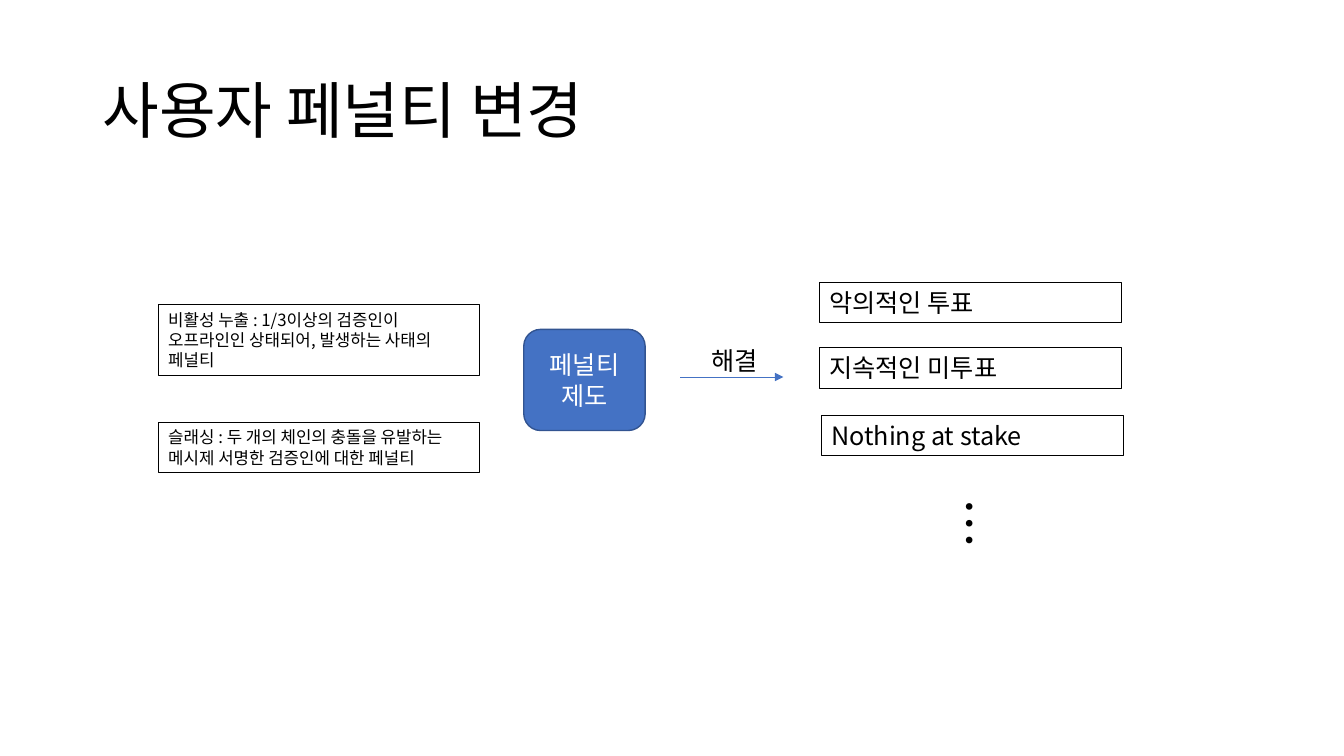
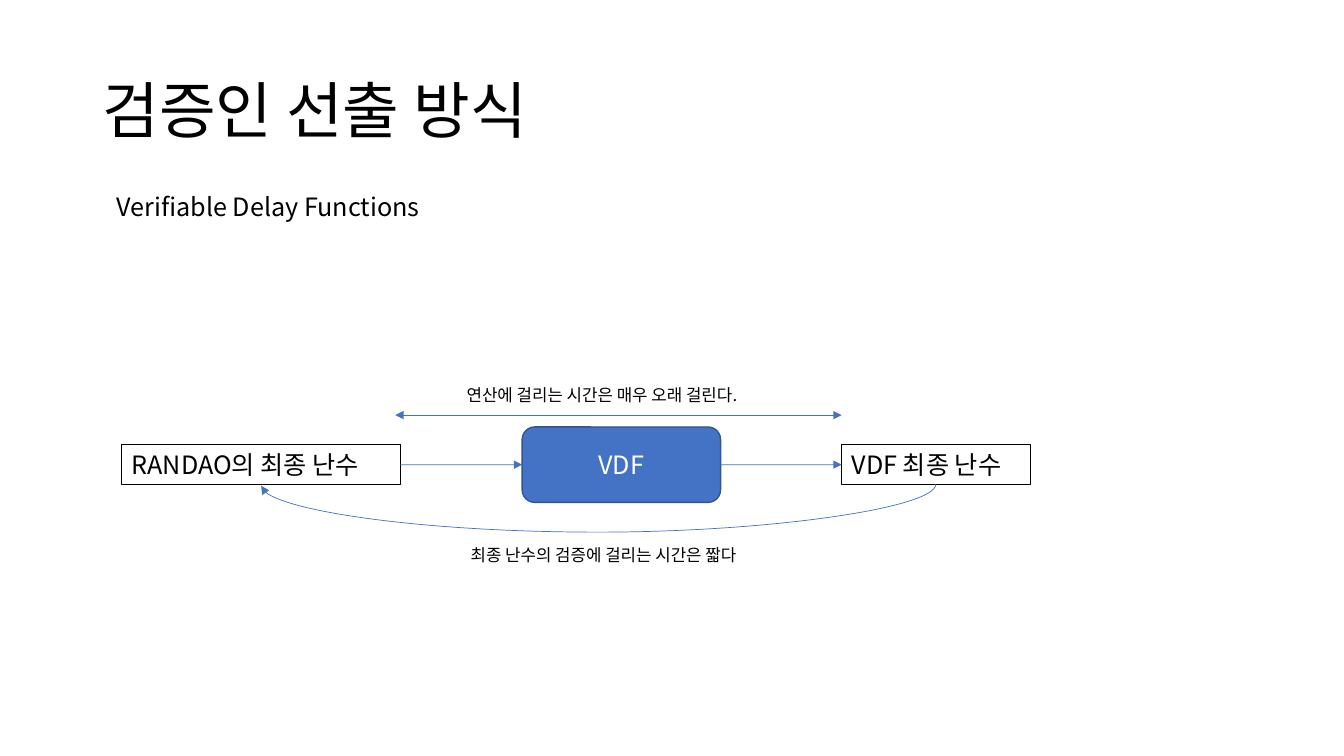
from dataclasses import dataclass

from lxml.etree import SubElement
from pptx import Presentation
from pptx.dml.color import RGBColor
from pptx.enum.shapes import MSO_CONNECTOR, MSO_SHAPE
from pptx.enum.text import MSO_ANCHOR, PP_ALIGN
from pptx.oxml.ns import qn
from pptx.util import Cm, Pt


@dataclass(frozen=True)
class Theme:
    font: str = "Noto Sans CJK KR"
    black: RGBColor = RGBColor(0x00, 0x00, 0x00)
    white: RGBColor = RGBColor(0xFF, 0xFF, 0xFF)
    accent: RGBColor = RGBColor(0x44, 0x72, 0xC4)
    accent_dark: RGBColor = RGBColor(0x32, 0x54, 0x91)
    title: int = 44
    body: int = 18
    small: int = 12
    symbol: int = 36


THEME = Theme()


class Deck:
    """Holds the theme, the presentation and the current slide."""

    def __init__(self, theme):
        self.theme = theme
        self.prs = Presentation()
        self.prs.slide_width, self.prs.slide_height = Cm(33.87), Cm(19.05)
        self.s = None

    def new_slide(self, title):
        self.s = self.prs.slides.add_slide(self.prs.slide_layouts[5])
        sp = self.s.shapes.title
        place = {"left": 2.33, "top": 1.01, "width": 29.21, "height": 3.68}
        for name, value in place.items():
            setattr(sp, name, Cm(value))
        self.fill_text(sp, title, self.theme.title, anchor=MSO_ANCHOR.MIDDLE, spacing=0.9)

    def fill_text(self, sp, text, size, color=None, align=PP_ALIGN.LEFT,
                  anchor=MSO_ANCHOR.TOP, spacing=1.0):
        tf = sp.text_frame
        tf.word_wrap, tf.vertical_anchor = True, anchor
        style = {"size": Pt(size), "bold": False, "name": self.theme.font}
        for i, line in enumerate(text.split("\n")):
            p = tf.add_paragraph() if i else tf.paragraphs[0]
            p.alignment, p.line_spacing = align, spacing
            r = p.add_run()
            r.text = line
            r.font.color.rgb = color or self.theme.black
            for name, value in style.items():
                setattr(r.font, name, value)
            # Korean glyphs use the East Asian typeface
            SubElement(r._r.get_or_add_rPr(), qn("a:ea"), typeface=self.theme.font)

    def label(self, text, x, y, w, h, size=THEME.body, rotation=0):
        sp = self.s.shapes.add_textbox(Cm(x), Cm(y), Cm(w), Cm(h))
        sp.rotation = rotation
        self.fill_text(sp, text, size)

    def shape(self, kind, x, y, w, h, line, weight):
        sp = self.s.shapes.add_shape(kind, Cm(x), Cm(y), Cm(w), Cm(h))
        sp.shadow.inherit = False
        sp.line.color.rgb, sp.line.width = line, Pt(weight)
        return sp

    def box(self, text, x, y, w, h, size=THEME.body):
        sp = self.shape(MSO_SHAPE.RECTANGLE, x, y, w, h, self.theme.black, 0.75)
        sp.fill.background()
        self.fill_text(sp, text, size)
        return sp

    def process(self, text, x, y, w, h):
        sp = self.shape(MSO_SHAPE.ROUNDED_RECTANGLE, x, y, w, h,
                        self.theme.accent_dark, 1)
        sp.fill.solid()
        sp.fill.fore_color.rgb = self.theme.accent
        self.fill_text(sp, text, self.theme.body, self.theme.white,
                       PP_ALIGN.CENTER, MSO_ANCHOR.MIDDLE)
        return sp

    def arrow(self, x1, y1, x2, y2, kind=MSO_CONNECTOR.STRAIGHT, both=False):
        c = self.s.shapes.add_connector(kind, Cm(x1), Cm(y1), Cm(x2), Cm(y2))
        c.line.color.rgb, c.line.width = self.theme.accent, Pt(0.5)
        spPr = c._element.spPr
        for end in ("headEnd", "tailEnd") if both else ("tailEnd",):
            SubElement(spPr.find(qn("a:ln")), qn(f"a:{end}"), type="triangle")
        SubElement(spPr, qn("a:effectLst"))
        return c

    def link(self, start, end):
        """Straight arrow from the right side of start to the left side of end."""
        c = self.arrow(0, 0, 1, 1)
        c.begin_connect(start, 3)
        c.end_connect(end, 1)

    def return_curve(self, start, end, depth):
        """Curve below two shapes, joining their bottom middles."""
        c = self.arrow(0, 0, 1, 1, MSO_CONNECTOR.CURVE)
        c.begin_connect(start, 2)
        c.end_connect(end, 2)
        right, left = (sp.left + sp.width // 2 for sp in (start, end))
        thin, span = Cm(0.04), right - left
        middle, bottom = (left + right) // 2, start.top + start.height
        # A quarter turn makes the thin connector lie under both shapes
        place = {"left": middle - thin // 2, "top": bottom - span // 2,
                 "width": thin, "height": span}
        for name, value in place.items():
            setattr(c, name, value)
        spPr = c._element.spPr
        for flip in ("flipH", "flipV"):
            spPr.xfrm.attrib.pop(flip, None)
        spPr.xfrm.set("rot", str(90 * 60000))
        av = spPr.find(qn("a:prstGeom")).get_or_add_avLst()
        bend = round(Cm(depth) / thin * 100000)
        SubElement(av, qn("a:gd"), name="adj1", fmla=f"val {bend}")


def penalty_slide(deck):
    deck.new_slide("사용자 페널티 변경")

    # Kinds of penalty
    deck.box("비활성 누출 : 1/3이상의 검증인이 오프라인인 상태되어, 발생하는 사태의 페널티",
             3.99, 7.67, 8.1, 1.8, THEME.small)
    deck.box("슬래싱 : 두 개의 체인의 충돌을 유발하는 메시제 서명한 검증인에 대한 페널티",
             3.99, 10.64, 8.1, 1.28, THEME.small)

    # Penalty system and its effect
    deck.process("페널티\n제도", 13.2, 8.3, 3.06, 2.55)
    deck.arrow(17.15, 9.5, 19.74, 9.5)
    deck.label("해결", 17.68, 8.58, 1.85, 1.02)

    # Problems solved
    problems = (("악의적인 투표", 20.65, 7.11),
                ("지속적인 미투표", 20.65, 8.76),
                ("Nothing at stake", 20.7, 10.46))
    for text, x, y in problems:
        deck.box(text, x, y, 7.62, 1.02)
    deck.label("…", 23.7, 12.17, 1.5, 1.8, THEME.symbol, rotation=90)


def selection_slide(deck):
    deck.new_slide("검증인 선출 방식")
    deck.label("Verifiable Delay Functions", 2.69, 4.7, 9.8, 1.8)

    # Flow from input to output
    source = deck.box("RANDAO의 최종 난수", 3.07, 11.2, 7.02, 1.02)
    vdf = deck.process("VDF", 13.16, 10.76, 5, 1.9)
    result = deck.box("VDF 최종 난수", 21.21, 11.2, 4.75, 1.02)
    deck.link(source, vdf)
    deck.link(vdf, result)

    # Slow computation above, quick check below
    deck.arrow(9.96, 10.46, 21.21, 10.46, both=True)
    deck.label("연산에 걸리는 시간은 매우 오래 걸린다.", 11.51, 9.58, 8.18, 0.76, THEME.small)
    deck.return_curve(result, source, 1.21)
    deck.label("최종 난수의 검증에 걸리는 시간은 짧다", 11.61, 13.61, 8.08, 0.76, THEME.small)


def main():
    deck = Deck(THEME)
    penalty_slide(deck)
    selection_slide(deck)
    deck.prs.save("out.pptx")


if __name__ == "__main__":
    main()
